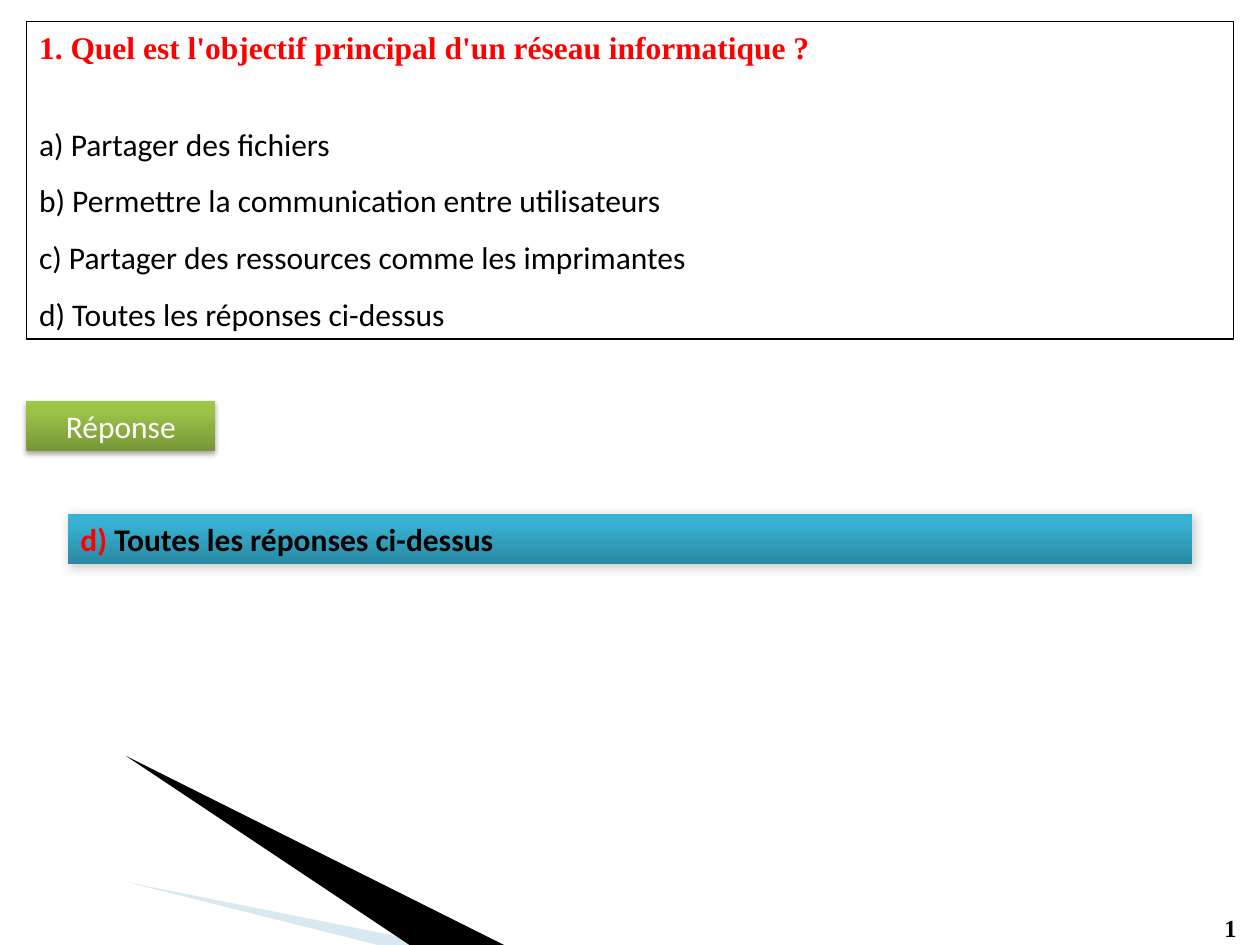
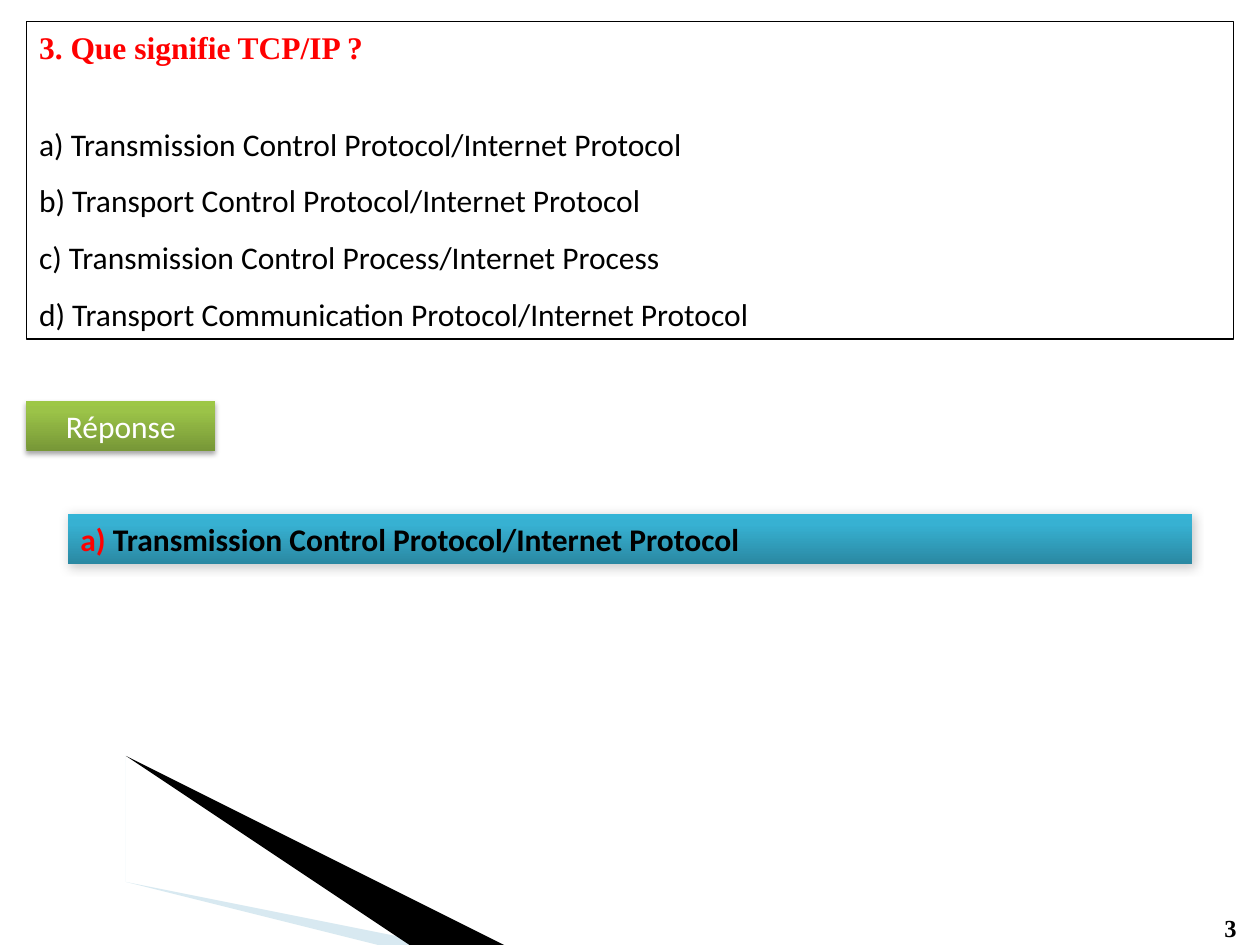
from copy import deepcopy

from lxml.etree import SubElement
from pptx import Presentation
from pptx.dml.color import RGBColor
from pptx.enum.dml import MSO_FILL
from pptx.enum.shapes import MSO_SHAPE
from pptx.enum.text import MSO_ANCHOR, MSO_AUTO_SIZE, PP_ALIGN
from pptx.oxml.ns import qn
from pptx.util import Inches, Pt

COLORS = {
    "text": "000000",
    "accent": "FF0000",
    "label_text": "FFFFFF",
    "pale_wedge": "9FCADC",
    "dark_wedge": "000000",
}
# Gradient stops run from the bottom edge to the top edge.
GREEN = [(0, "779737"), (80, "9BC348"), (100, "9DC746")]
BLUE = [(0, "2A88A2"), (80, "37B1D2"), (100, "34B4D6")]
# Opacity in percent, blur and distance in points, angle in degrees.
LABEL_SHADOW = (35, 3.1, 1.8, 90)
ANSWER_SHADOW = (20, 6, 1, 45)

SERIF, SANS = "Times New Roman", "Calibri"
FRAME = (0.21, 0.17, 9.58, 2.52)

PALE_WEDGE = [
    [(0.64, 6.53), (4.51, 7.5), (5.89, 7.5)],
    [(0.55, 6.5), (0.55, 6.51), (0.64, 6.53)],
]
DARK_WEDGE = [[(0.53, 6.5), (0.54, 6.5), (3.67, 7.5), (4.53, 7.5)]]

QUIZ = [
    {
        "page": "1",
        "question": "1. Quel est l'objectif principal d'un réseau informatique ?",
        "choices": [
            "a) Partager des fichiers",
            "b) Permettre la communication entre utilisateurs",
            "c) Partager des ressources comme les imprimantes",
            "d) Toutes les réponses ci-dessus",
        ],
        "answer": ("d) ", "Toutes les réponses ci-dessus"),
    },
    {
        "page": "3",
        "question": "3. Que signifie TCP/IP ?",
        "choices": [
            "a) Transmission Control Protocol/Internet Protocol",
            "b) Transport Control Protocol/Internet Protocol",
            "c) Transmission Control Process/Internet Process",
            "d) Transport Communication Protocol/Internet Protocol",
        ],
        "answer": ("a) ", "Transmission Control Protocol/Internet Protocol"),
    },
]


def rgb(name):
    return RGBColor.from_string(COLORS[name])


def style(font, color, size=18, name=SANS, bold=False):
    font.size, font.name, font.bold = Pt(size), name, bold
    font.color.rgb = rgb(color)


def place(shape, left, top, width, height):
    shape.left, shape.top = Inches(left), Inches(top)
    shape.width, shape.height = Inches(width), Inches(height)


def add_wedge(slide, contours, color, opacity=100):
    """Draw a corner wedge and move it to the layout, which all slides share."""
    builder = slide.shapes.build_freeform(scale=Inches(1))
    for index, (start, *others) in enumerate(contours):
        if index:
            builder.move_to(*start)
        else:
            builder = slide.shapes.build_freeform(*start, scale=Inches(1))
        builder.add_line_segments(others, close=True)
    wedge = builder.convert_to_shape()
    wedge.shadow.inherit = False
    wedge.line.fill.background()
    wedge.fill.solid()
    wedge.fill.fore_color.rgb = rgb(color)
    if opacity < 100:
        fill_color = next(wedge.element.spPr.iter(qn("a:srgbClr")))
        SubElement(fill_color, qn("a:alpha"), val=str(opacity * 1000))
    layout_tree = slide.slide_layout.shapes.element
    layout_tree.insert_element_before(wedge.element, "p:extLst")


def set_gradient(shape, stops):
    shape.fill.gradient()
    shape.fill.gradient_angle = 90
    stop_list = next(shape.element.spPr.iter(qn("a:gsLst")))
    for stop in list(stop_list):
        stop_list.remove(stop)
    for position, color in stops:
        stop = SubElement(stop_list, qn("a:gs"), pos=str(position * 1000))
        SubElement(stop, qn("a:srgbClr"), val=color)


def set_shadow(shape, opacity, blur, distance, angle):
    shape.shadow.inherit = False
    effects = shape.element.spPr.find(qn("a:effectLst"))
    shadow = SubElement(
        effects, qn("a:outerShdw"), blurRad=str(Pt(blur)), dist=str(Pt(distance)),
        dir=str(angle * 60000), rotWithShape="0")
    color = SubElement(shadow, qn("a:srgbClr"), val="000000")
    SubElement(color, qn("a:alpha"), val=str(opacity * 1000))


def add_band(slide, box, stops, shadow, align):
    """Add a gradient rectangle and return its paragraph."""
    band = slide.shapes.add_shape(MSO_SHAPE.RECTANGLE, *map(Inches, box))
    band.line.fill.background()
    set_gradient(band, stops)
    set_shadow(band, *shadow)
    paragraph = band.text_frame.paragraphs[0]
    paragraph.alignment = align
    return paragraph


def add_question(slide, question):
    title = slide.shapes.title
    left, top, width, _ = FRAME
    place(title, left, top, width, 0.4)
    frame = title.text_frame
    frame.auto_size = MSO_AUTO_SIZE.NONE
    frame.vertical_anchor = MSO_ANCHOR.TOP
    frame.text = question
    paragraph = frame.paragraphs[0]
    paragraph.alignment = PP_ALIGN.LEFT
    style(paragraph.font, "accent", name=SERIF, bold=True)


def add_choices(slide, choices):
    """Fill the outlined body, whose list stands on the bottom of the frame."""
    body = slide.placeholders[1]
    place(body, *FRAME)
    body.line.color.rgb = rgb("text")
    body.line.width = Pt(0.75)
    frame = body.text_frame
    frame.auto_size = MSO_AUTO_SIZE.NONE
    frame.vertical_anchor = MSO_ANCHOR.BOTTOM
    frame.text = "\n".join(choices)
    for paragraph in frame.paragraphs:
        properties = paragraph._p.get_or_add_pPr()
        properties.set("marL", "0")
        properties.set("indent", "0")
        SubElement(properties, qn("a:buNone"))
        paragraph.space_before = Pt(0)
        paragraph.line_spacing = 1.5
        style(paragraph.font, "text")


def add_answer(slide, letter, wording):
    label = add_band(slide, (0.21, 3.18, 1.5, 0.4), GREEN, LABEL_SHADOW, PP_ALIGN.CENTER)
    label.text = "Réponse"
    style(label.font, "label_text")
    answer = add_band(slide, (0.54, 4.08, 8.92, 0.4), BLUE, ANSWER_SHADOW, PP_ALIGN.JUSTIFY)
    for text, color in ((letter, "accent"), (wording, "text")):
        run = answer.add_run()
        run.text = text
        style(run.font, color, bold=True)


def add_page_number(slide, number):
    box = slide.shapes.add_textbox(*map(Inches, (9.62, 7.2, 0.36, 0.34)))
    paragraph = box.text_frame.paragraphs[0]
    paragraph.text = number
    box.text_frame.word_wrap = True
    style(paragraph.font, "text", size=14, name=SERIF, bold=True)


def main():
    deck = Presentation()
    deck.slide_width, deck.slide_height = Inches(10), Inches(7.5)
    layout = deck.slide_layouts[1]
    for item in QUIZ:
        slide = deck.slides.add_slide(layout)
        add_page_number(slide, item["page"])
        add_question(slide, item["question"])
        add_choices(slide, item["choices"])
        add_answer(slide, *item["answer"])
    add_wedge(deck.slides[0], PALE_WEDGE, "pale_wedge", opacity=40)
    add_wedge(deck.slides[0], DARK_WEDGE, "dark_wedge")
    deck.save("out.pptx")


if __name__ == "__main__":
    main()
